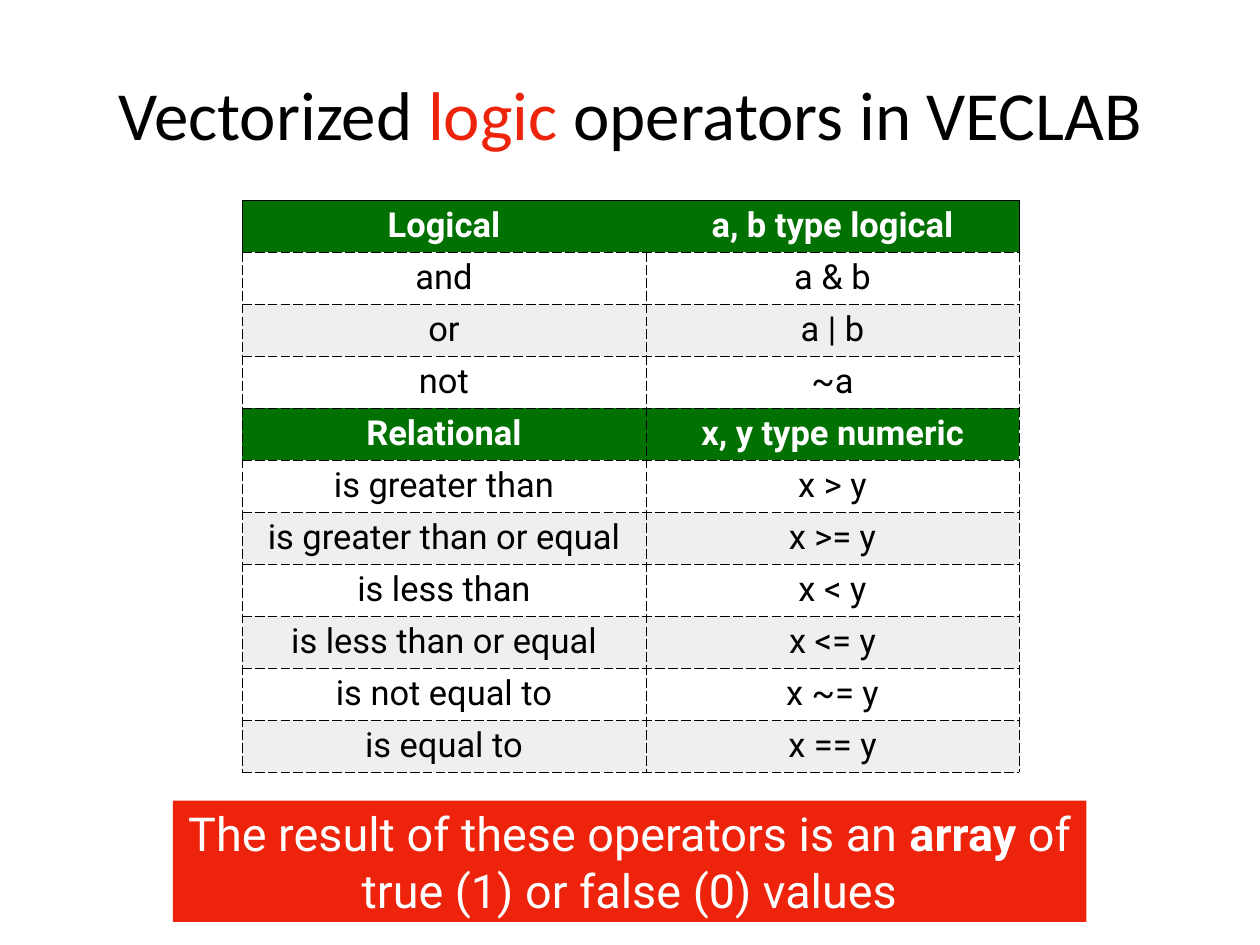
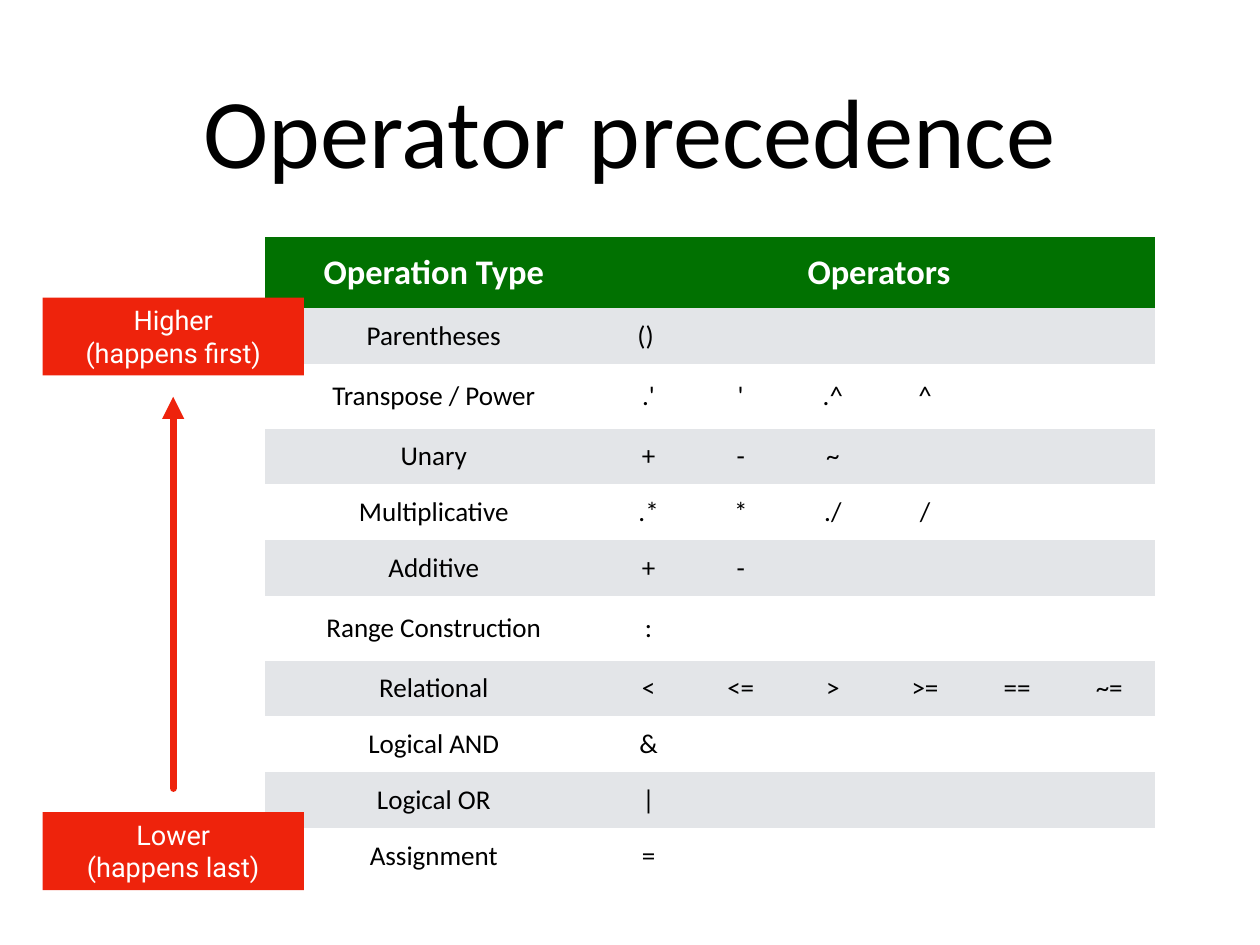
import pptx
import pptx.dml.color
import pptx.enum.shapes
import pptx.enum.text
import pptx.oxml
import pptx.oxml.ns
import pptx.util
from pptx.util import Inches

RGBColor = pptx.dml.color.RGBColor
ANCHOR = pptx.enum.text.MSO_ANCHOR
BLACK = RGBColor(0x00, 0x00, 0x00)
WHITE = RGBColor(0xFF, 0xFF, 0xFF)
RED = RGBColor(0xEE, 0x23, 0x0C)
GREEN = RGBColor(0x01, 0x71, 0x01)
LIGHT_GRAY = RGBColor(0xEF, 0xEF, 0xEF)
COOL_GRAY = RGBColor(0xE3, 0xE5, 0xE8)

BODY_FONT = "Roboto"
TITLE_FONT = "Calibri"
INSET = 0.06
NO_STYLE_TABLE = "{2D5ABB26-0587-4C30-8999-92F81FD0307C}"

LOGIC_ROWS = [
    ("Logical", "a, b type logical"),
    ("and", "a & b"),
    ("or", "a | b"),
    ("not", "~a"),
    ("Relational", "x, y type numeric"),
    ("is greater than", "x > y"),
    ("is greater than or equal", "x >= y"),
    ("is less than", "x < y"),
    ("is less than or equal", "x <= y"),
    ("is not equal to", "x ~= y"),
    ("is equal to", "x == y"),
]
LOGIC_HEADERS = (0, 4)

PRECEDENCE_ROWS = [
    ("Operation Type", "Operators"),
    ("Parentheses", "() "),
    ("Transpose / Power", ".'", "'", ".^", "^"),
    ("Unary", "+", "-", "~"),
    ("Multiplicative", ".*", "*", "./", "/"),
    ("Additive", "+", "-"),
    ("Range Construction", ":"),
    ("Relational", "<", "<=", ">", ">=", "==", "~="),
    ("Logical AND", "&"),
    ("Logical OR", "|"),
    ("Assignment", "="),
]
TALL_ROWS = {0: 0.8, 2: 0.73, 6: 0.73}


def inches(*lengths):
    return [Inches(length) for length in lengths]


def write_text(frame, lines, font, size, color, bold=False):
    """Fill a frame with centred paragraphs; each line is a string or a list of
    (text, color, bold) spans, where None means the paragraph's own value."""
    for index, line in enumerate(lines):
        para = frame.add_paragraph() if index else frame.paragraphs[0]
        para.alignment = pptx.enum.text.PP_ALIGN.CENTER
        para.font.name = font
        para.font.size = pptx.util.Pt(size)
        para.font.bold = bold
        para.font.color.rgb = color
        spans = [(line, None, None)] if isinstance(line, str) else line
        for text, span_color, span_bold in spans:
            span = para.add_run()
            span.text = text
            if span_color is not None:
                span.font.color.rgb = span_color
            if span_bold is not None:
                span.font.bold = span_bold


def prepare_frame(frame, anchor, inset):
    frame.word_wrap = True
    frame.vertical_anchor = anchor
    frame.margin_left = frame.margin_right = Inches(inset)
    frame.margin_top = frame.margin_bottom = Inches(inset)


def add_title(page, box, line, size):
    frame = page.shapes.add_textbox(*inches(*box)).text_frame
    prepare_frame(frame, ANCHOR.MIDDLE, INSET)
    write_text(frame, [line], TITLE_FONT, size, BLACK)


def add_callout(page, box, lines, size, anchor, inset):
    """Add a red rectangle with white text."""
    rectangle = pptx.enum.shapes.MSO_SHAPE.RECTANGLE
    shape = page.shapes.add_shape(rectangle, *inches(*box))
    shape.shadow.inherit = False
    shape.fill.solid()
    shape.fill.fore_color.rgb = RED
    shape.line.fill.background()
    prepare_frame(shape.text_frame, anchor, inset)
    write_text(shape.text_frame, lines, BODY_FONT, size, WHITE)


def add_plain_table(page, left, top, widths, heights):
    box = inches(left, top, sum(widths), sum(heights))
    holder = page.shapes.add_table(len(heights), len(widths), *box)
    style = holder.element.find(".//" + pptx.oxml.ns.qn("a:tableStyleId"))
    style.text = NO_STYLE_TABLE
    table = holder.table
    table.first_row = table.horz_banding = False
    for column, width in zip(table.columns, widths):
        column.width = Inches(width)
    for row, height in zip(table.rows, heights):
        row.height = Inches(height)
    return table


def fill_cell(cell, text, fill, font, size, header, anchor):
    cell.fill.solid()
    cell.fill.fore_color.rgb = fill
    cell.vertical_anchor = anchor
    cell.margin_left = cell.margin_right = Inches(INSET)
    cell.margin_top = cell.margin_bottom = Inches(INSET)
    if text:
        color = WHITE if header else BLACK
        write_text(cell.text_frame, [text], font, size, color, header)


def set_borders(cell, dashes):
    """Draw hairlines on the sides named in dashes, a map of side to dash style."""
    properties = cell._tc.get_or_add_tcPr()
    sides = [side for side in "LRTB" if side in dashes]
    for index, side in enumerate(sides):
        properties.insert(index, pptx.oxml.parse_xml(
            f'<a:ln{side} {pptx.oxml.ns.nsdecls("a")} w="3175">'
            f'<a:solidFill><a:srgbClr val="{BLACK}"/></a:solidFill>'
            f'<a:prstDash val="{dashes[side]}"/></a:ln{side}>'))


def add_logic_table(page, left, top):
    heights = [0.58] * len(LOGIC_ROWS)
    table = add_plain_table(page, left, top, [4.56, 4.21], heights)
    for row, texts in enumerate(LOGIC_ROWS):
        header = row in LOGIC_HEADERS
        banded = row > 0 and row % 2 == 0
        fill = GREEN if header else LIGHT_GRAY if banded else WHITE
        for column, text in enumerate(texts):
            cell = table.cell(row, column)
            fill_cell(cell, text, fill, BODY_FONT, 28, header, ANCHOR.TOP)
            if row == 0:
                outer = "R" if column else "L"
                set_borders(cell, {outer: "solid", "T": "solid", "B": "dash"})
            else:
                set_borders(cell, dict.fromkeys("LRTB", "dash"))


def add_precedence_table(page, left, top):
    widths = [3.81] + [1.04] * 6
    heights = [TALL_ROWS.get(row, 0.63) for row in range(len(PRECEDENCE_ROWS))]
    table = add_plain_table(page, left, top, widths, heights)
    table.cell(0, 1).merge(table.cell(0, len(widths) - 1))
    for row, texts in enumerate(PRECEDENCE_ROWS):
        header = row == 0
        fill = GREEN if header else COOL_GRAY if row % 2 else WHITE
        for column in range(len(widths)):
            text = texts[column] if column < len(texts) else ""
            fill_cell(table.cell(row, column), text, fill, TITLE_FONT,
                      28 if header else 22, header, ANCHOR.MIDDLE)


def add_priority_scale(page, left, top, width, height):
    """Add an arrow that rises from the lower label to the higher one."""
    label_height = 0.88
    center = left + width / 2
    straight = pptx.enum.shapes.MSO_CONNECTOR.STRAIGHT
    ends = inches(center, top + height - label_height - 0.27,
                  center, top + label_height + 0.24)
    arrow = page.shapes.add_connector(straight, *ends)
    arrow.line.color.rgb = RED
    arrow.line.width = pptx.util.Pt(6)
    line = arrow.line._get_or_add_ln()
    line.set("cap", "rnd")
    namespace = pptx.oxml.ns.nsdecls("a")
    line.append(pptx.oxml.parse_xml(f'<a:tailEnd {namespace} type="triangle"/>'))
    arrow.element.spPr.append(pptx.oxml.parse_xml(f"<a:effectLst {namespace}/>"))

    labels = [(top, ["Higher", "(happens first)"]),
              (top + height - label_height, ["Lower", "(happens last)"])]
    for label_top, lines in labels:
        box = (left, label_top, width, label_height)
        add_callout(page, box, lines, 22, ANCHOR.TOP, 0.07)


def build_logic_slide(page):
    title = [("Vectorized ", None, None), ("logic", RED, None),
             (" operators in VECLAB", None, None)]
    add_title(page, (0.4, 0.28, 13.43, 1.98), title, 56)
    add_logic_table(page, 2.73, 2.26)
    result = [("The result of these operators is an ", None, None),
              ("array", None, True),
              (" of true (1) or false (0) values", None, None)]
    add_callout(page, (1.95, 9.04, 10.31, 1.37), [result], 38,
                ANCHOR.MIDDLE, INSET)


def build_precedence_slide(page):
    add_title(page, (1.04, 0.28, 12.14, 2.36), "Operator precedence", 80)
    add_precedence_table(page, 2.99, 2.68)
    add_priority_scale(page, 0.48, 3.36, 2.95, 6.69)


def main():
    deck = pptx.Presentation()
    deck.slide_width, deck.slide_height = inches(14.22, 10.67)
    blank = deck.slide_layouts[6]
    for build in (build_logic_slide, build_precedence_slide):
        build(deck.slides.add_slide(blank))
    deck.save("out.pptx")


if __name__ == "__main__":
    main()
